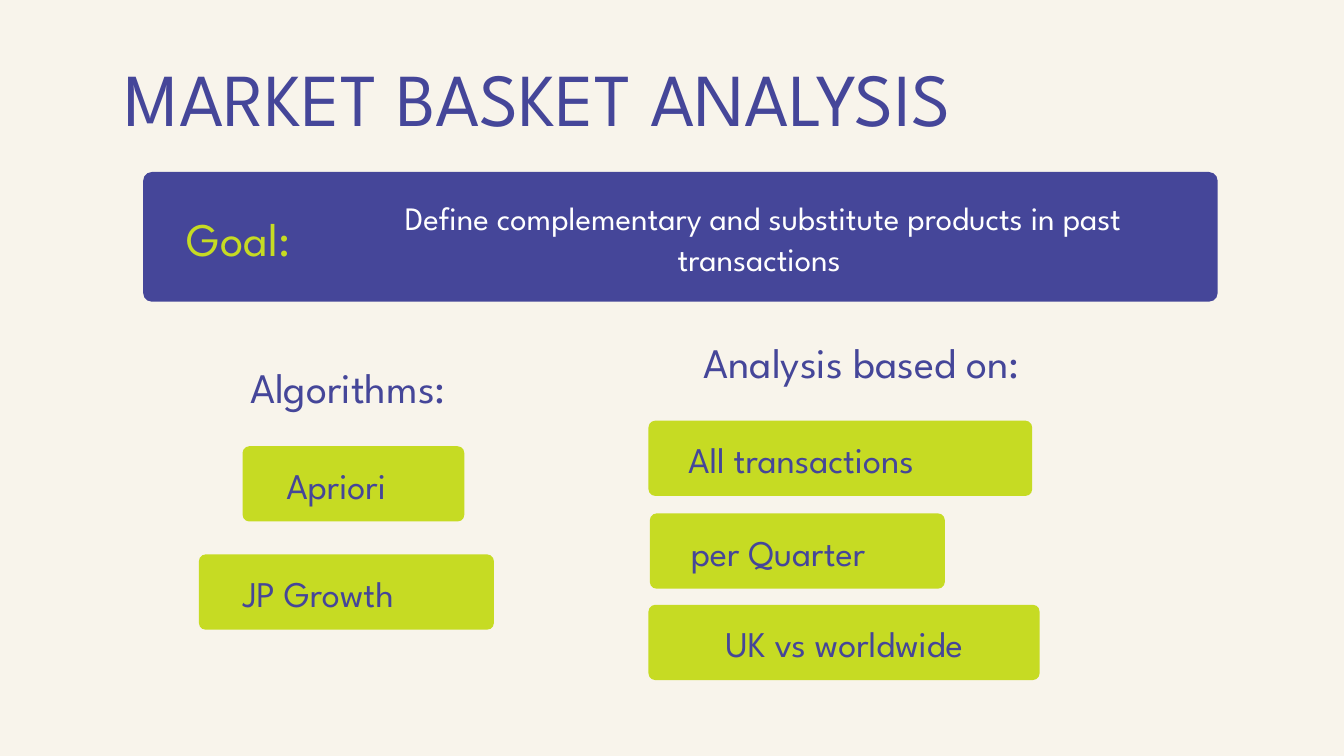
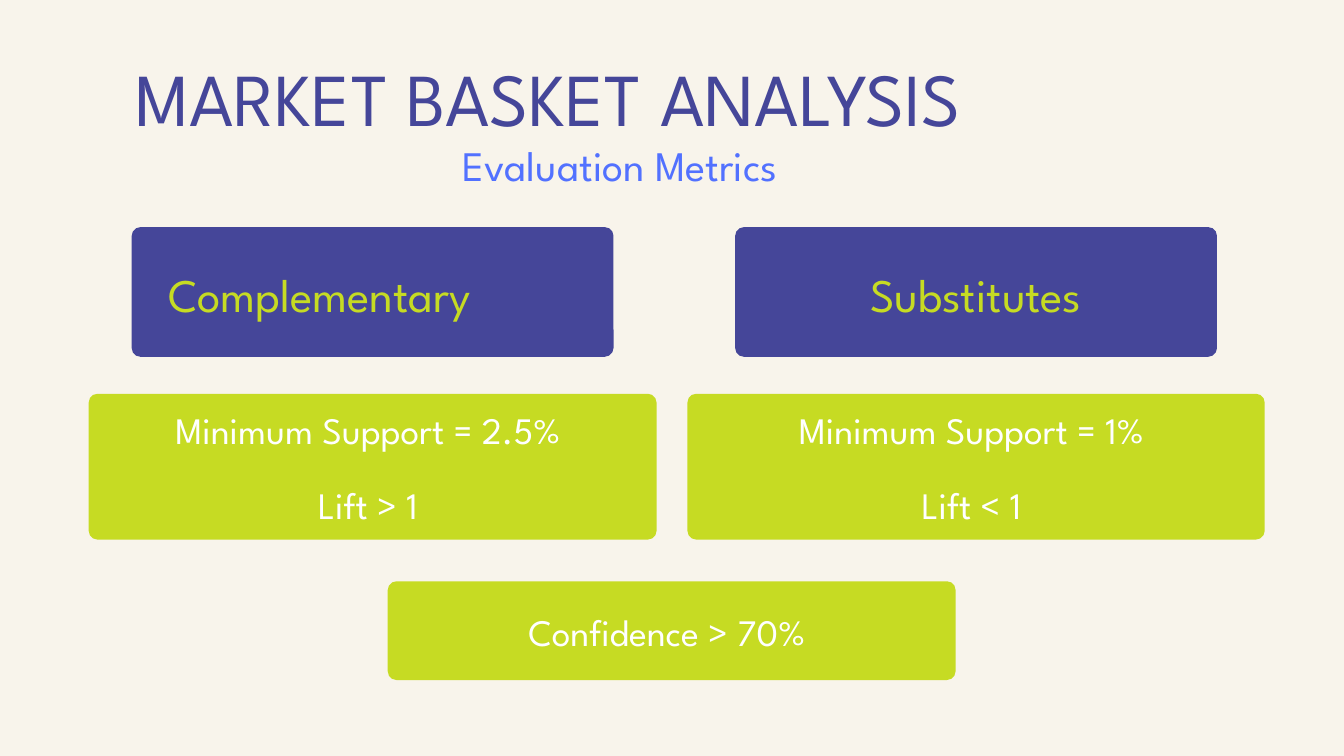
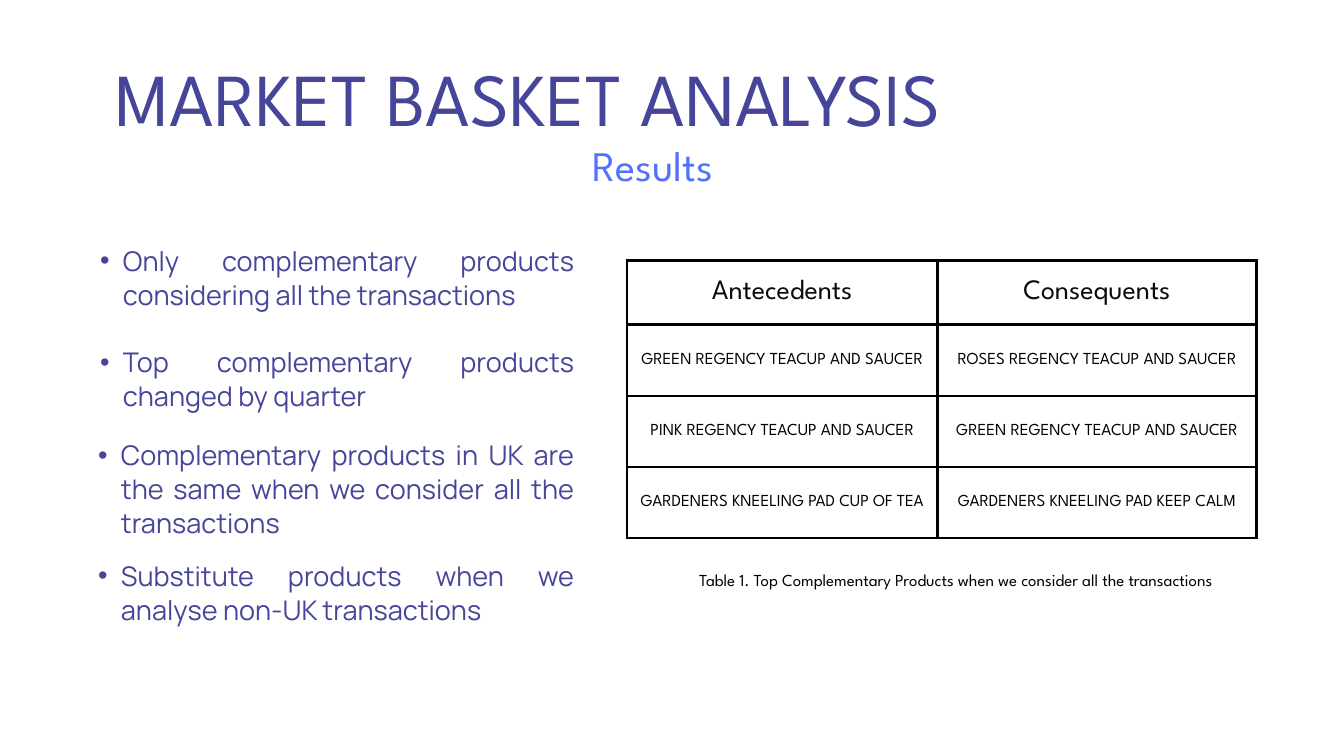
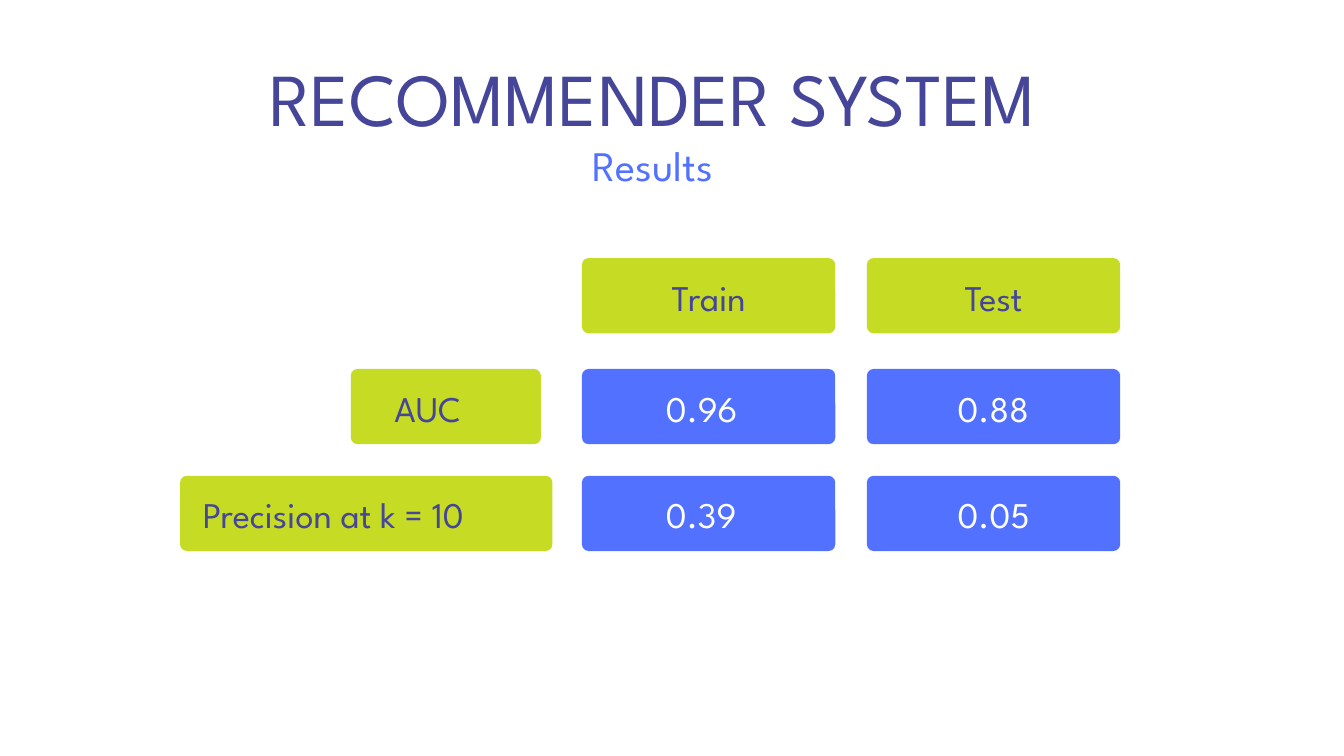
from collections import namedtuple

from lxml import etree
from pptx import Presentation
from pptx.dml.color import RGBColor
from pptx.enum.shapes import MSO_SHAPE
from pptx.enum.text import MSO_ANCHOR, MSO_AUTO_SIZE, PP_ALIGN
from pptx.oxml.ns import qn
from pptx.util import Inches, Pt

LEFT, MID, JUST = PP_ALIGN.LEFT, PP_ALIGN.CENTER, PP_ALIGN.JUSTIFY
MIDDLE, GROW = MSO_ANCHOR.MIDDLE, MSO_AUTO_SIZE.SHAPE_TO_FIT_TEXT
ROUND = MSO_SHAPE.ROUNDED_RECTANGLE

# The grid has 20 columns and 11.25 rows, each one inch.
COLS, ROWS = 20, 11.25

THEME = {
    "cream": "F8F4EB", "white": "FFFFFF", "black": "000000", "ink": "0B0B0B",
    "indigo": "454699", "lime": "C6DB23", "blue": "5271FF",
    "lead": 1.26, "border": 3,
    # style: font, size, colour
    "text": {
        "title": ("League Spartan", 80, "indigo"),
        "sub": ("League Spartan", 45, "blue"),
        "head": ("League Spartan", 45, "indigo"),
        "name": ("League Spartan", 50, "lime"),
        "goal": ("League Spartan", 35, "white"),
        "tag": ("League Spartan", 38.7, "indigo"),
        "score": ("League Spartan", 38.7, "white"),
        "rule": ("League Spartan", 40, "white"),
        "point": ("Manrope", 29, "indigo"),
        "note": ("League Spartan", 18, "black"),
        "top": ("League Spartan", 30, "ink"),
        "cell": ("League Spartan", 18, "black"),
    },
    # kind: fill, height, corner radius
    "card": {
        "tag": ("lime", 1.12, 0.1),
        "score": ("blue", 1.12, 0.1),
        "band": ("indigo", 1.93, 0.13),
        "block": ("lime", 2.17, 0.13),
        "bar": ("lime", 1.47, 0.13),
    },
}

Text = namedtuple("Text", "style text x y w align lines", defaults=(LEFT, 1))
Card = namedtuple("Card", "kind x y w labels")
# Without an inset a label is centred on its card; drop is its share of the free height.
Label = namedtuple("Label", "style text w inset align lines drop",
                   defaults=(None, LEFT, 1, 0.5))

MARKET = "MARKET BASKET ANALYSIS"
TITLE = {"style": "title", "y": 0.7, "w": 15.99}
SUB = {"style": "sub", "y": 2.04}
RESULTS = Text(text="Results", x=5.66, w=8.11, align=MID, **SUB)

GOAL = {
    "back": "cream",
    "texts": [
        Text(text=MARKET, x=1.86, **TITLE),
        Text("head", "Algorithms: ", 2.87, 5.34, 4.77, MID),
        Text("head", "Analysis based on: ", 9.52, 4.97, 6.76, MID),
    ],
    "cards": [
        Card("band", 2.13, 2.56, 15.99, [
            Label("name", "Goal:", 2.51, 0.65),
            Label("goal", "Define complementary and substitute products in past transactions ",
                  12.26, 3.1, MID, 2)]),
        Card("tag", 3.61, 6.64, 3.3, [Label("tag", "Apriori", 3.45, 0.65)]),
        Card("tag", 2.96, 8.25, 4.39, [Label("tag", "JP Growth", 3.45, 0.65)]),
        Card("tag", 9.65, 6.26, 5.71, [Label("tag", "All transactions", 5.12, 0.59)]),
        Card("tag", 9.67, 7.64, 4.39, [Label("tag", "per Quarter", 3.45, 0.61)]),
        Card("tag", 9.65, 9, 5.82, [Label("tag", "UK vs worldwide", 5.82)]),
    ],
}

HIGH, LOW = 0.11, 0.87
METRICS = {
    "back": "cream",
    "texts": [
        Text(text=MARKET, x=2.01, **TITLE),
        Text(text="Evaluation Metrics", x=6.88, w=6.23, **SUB),
    ],
    "cards": [
        Card("band", 1.96, 3.38, 7.17, [Label("name", "Complementary", 6.09, 0.54)]),
        Card("band", 10.94, 3.38, 7.17, [Label("name", "Substitutes", 4.41)]),
        Card("block", 1.32, 5.86, 8.45, [
            Label("rule", "Minimum Support = 2.5% ", 7.88, drop=HIGH),
            Label("rule", "Lift > 1 ", 2.71, drop=LOW)]),
        Card("block", 10.23, 5.86, 8.59, [
            Label("rule", "Minimum Support = 1% ", 6.79, drop=HIGH),
            Label("rule", "Lift < 1 ", 2.43, drop=LOW)]),
        Card("bar", 5.77, 8.65, 8.45, [Label("rule", "Confidence > 70% ", 5.57)]),
    ],
}

POINT = {"style": "point", "align": JUST}
FINDINGS = {
    "back": "white",
    "texts": [
        Text(text=MARKET, x=1.72, **TITLE),
        RESULTS,
        Text(text="Only complementary products considering all the transactions ",
             x=1.15, y=3.61, w=7.4, lines=2, **POINT),
        Text(text="Top complementary products changed by quarter",
             x=1.15, y=5.12, w=7.4, lines=2, **POINT),
        Text(text="Complementary products in UK are the same when we consider "
                  "all the transactions", x=1.12, y=6.5, w=7.43, lines=3, **POINT),
        Text(text="Substitute products when we analyse non-UK transactions",
             x=1.12, y=8.3, w=7.43, lines=2, **POINT),
        Text("note", "Table 1. Top Complementary Products when we consider all the transactions",
             9.75, 8.46, 8.95, MID, 2),
    ],
    "table": {
        "x": 9.33, "y": 3.88, "cols": [4.62, 4.75], "rows": [0.95, 1.06, 1.06, 1.06],
        "cells": [
            ("Antecedents", "Consequents"),
            ("GREEN REGENCY TEACUP AND SAUCER", "ROSES REGENCY TEACUP AND SAUCER"),
            ("PINK REGENCY TEACUP AND SAUCER", "GREEN REGENCY TEACUP AND SAUCER"),
            ("GARDENERS KNEELING PAD CUP OF TEA", "GARDENERS KNEELING PAD KEEP CALM"),
        ],
    },
}

SETS = [("Train", 8.66, 1.25), ("Test", 12.9, 1.35)]
SCORES = [
    # name, left, top, width, label inset, values
    ("AUC", 5.22, 5.49, 2.83, 0.65, ("0.96", "0.88")),
    ("Precision at k = 10", 2.68, 7.08, 5.54, 0.34, ("0.39", "0.05")),
]
SYSTEM = {
    "back": "white",
    "texts": [Text(text="RECOMMENDER SYSTEM", x=1.72, align=MID, **TITLE), RESULTS],
    "cards": [Card("tag", x, 3.84, 3.77, [Label("tag", name, 5.07)])
              for name, x, _ in SETS]
             + [Card("tag", x, y, w, [Label("tag", name, w, inset)])
                for name, x, y, w, inset, _ in SCORES]
             + [Card("score", x, y, 3.77, [Label("score", value, 1.97, inset)])
                for _, _, y, _, _, values in SCORES
                for (_, x, inset), value in zip(SETS, values)],
}


def tint(name):
    return RGBColor.from_string(THEME[name])


def put(thing, values):
    """Set each attribute of thing from a dict."""
    for key, value in values.items():
        setattr(thing, key, value)


def box(*sides):
    return [Inches(side) for side in sides]


def tall(style, lines):
    return THEME["text"][style][1] * THEME["lead"] * lines / 72


def write(para, style, text, align):
    font, size, color = THEME["text"][style]
    para.alignment = align
    run = para.add_run()
    run.text = text
    put(run.font, {"name": font, "size": Pt(size)})
    run.font.color.rgb = tint(color)


def bullet(para):
    para.level = 1
    props = para._p.get_or_add_pPr()
    props.set("marL", str(Inches(0.68)))
    props.set("indent", str(Inches(-0.34)))
    etree.SubElement(props, qn("a:buFont")).set("typeface", "Arial")
    etree.SubElement(props, qn("a:buChar")).set("char", "•")


def add_text(slide, item):
    shape = slide.shapes.add_textbox(
        *box(item.x, item.y, item.w, tall(item.style, item.lines)))
    frame = shape.text_frame
    put(frame, {"word_wrap": True, "auto_size": GROW, "margin_left": 0,
                "margin_right": 0, "margin_top": 0, "margin_bottom": 0})
    para = frame.paragraphs[0]
    write(para, item.style, item.text, item.align)
    para.line_spacing = Pt(THEME["text"][item.style][1] * THEME["lead"])
    if item.style == "point":
        bullet(para)


def add_card(slide, card):
    fill, high, radius = THEME["card"][card.kind]
    shape = slide.shapes.add_shape(ROUND, *box(card.x, card.y, card.w, high))
    shape.adjustments[0] = radius / min(card.w, high)
    shape.shadow.inherit = False
    shape.fill.solid()
    shape.fill.fore_color.rgb = tint(fill)
    shape.line.fill.background()
    for label in card.labels:
        free = label.inset is None
        inset = (card.w - label.w) / 2 if free else label.inset
        drop = (high - tall(label.style, label.lines)) * label.drop
        add_text(slide, Text(label.style, label.text, card.x + inset, card.y + drop,
                             label.w, MID if free else label.align, label.lines))


def frame_cell(cell):
    """Draw the four borders of a table cell."""
    props = cell._tc.get_or_add_tcPr()
    for place, side in enumerate(("lnL", "lnR", "lnT", "lnB")):
        line = etree.Element(qn("a:" + side), w=str(Pt(THEME["border"])))
        fill = etree.SubElement(line, qn("a:solidFill"))
        etree.SubElement(fill, qn("a:srgbClr")).set("val", THEME["black"])
        props.insert(place, line)


def add_grid(slide, data):
    cols, rows = data["cols"], data["rows"]
    table = slide.shapes.add_table(
        len(rows), len(cols), *box(data["x"], data["y"], sum(cols), sum(rows))).table
    put(table, {"first_row": False, "horz_banding": False})
    for col, wide in zip(table.columns, cols):
        col.width = Inches(wide)
    for r, (row, high) in enumerate(zip(table.rows, rows)):
        row.height = Inches(high)
        for cell, text in zip(row.cells, data["cells"][r]):
            cell.fill.background()
            cell.vertical_anchor = MIDDLE
            write(cell.text_frame.paragraphs[0], "cell" if r else "top", text, MID)
            frame_cell(cell)


def main():
    deck = Presentation()
    put(deck, {"slide_width": Inches(COLS), "slide_height": Inches(ROWS)})
    for page in (GOAL, METRICS, FINDINGS, SYSTEM):
        slide = deck.slides.add_slide(deck.slide_layouts[6])
        back = slide.background.fill
        back.solid()
        back.fore_color.rgb = tint(page["back"])
        if "table" in page:
            add_grid(slide, page["table"])
        for card in page.get("cards", []):
            add_card(slide, card)
        for item in page["texts"]:
            add_text(slide, item)
    deck.save("out.pptx")


if __name__ == "__main__":
    main()
